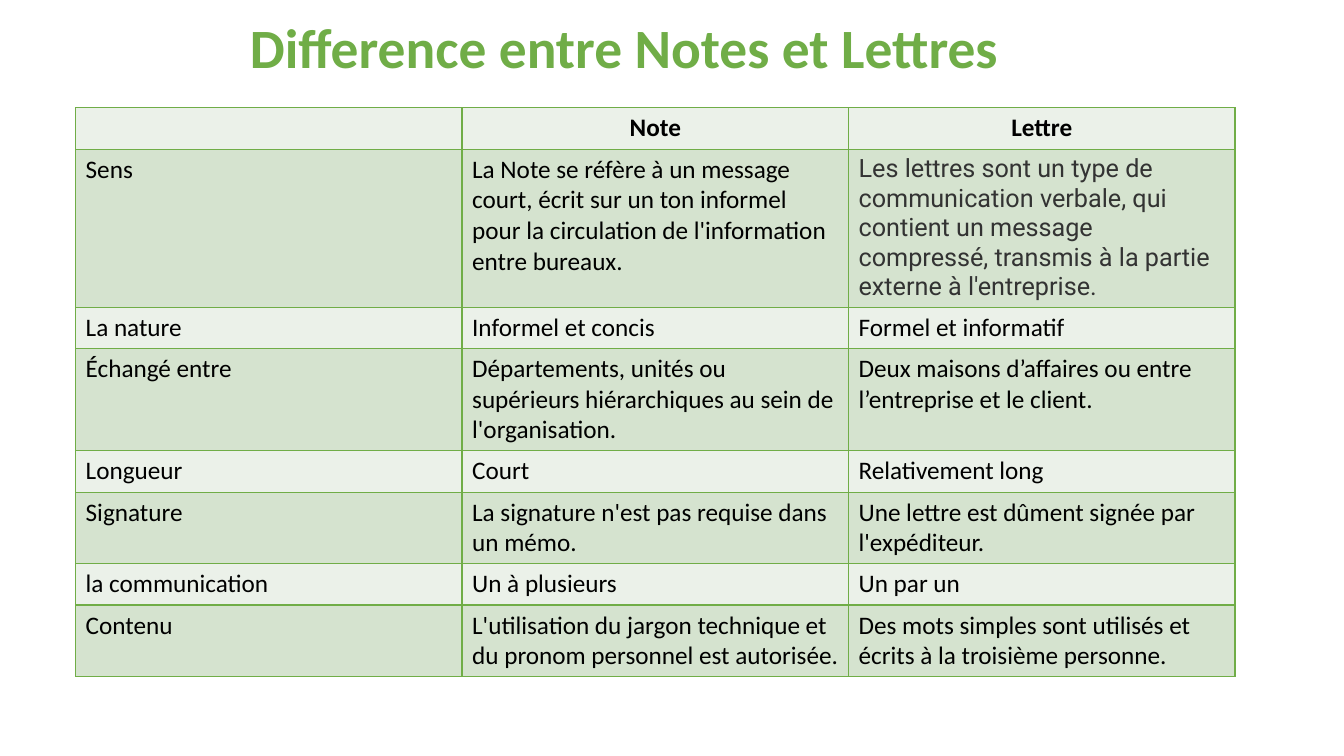
"""Build a slide comparing notes and letters in a table."""
from dataclasses import dataclass

from lxml import etree
from pptx import Presentation
from pptx.dml.color import RGBColor
from pptx.enum import text
from pptx.oxml import ns
from pptx.util import Inches, Pt

TITLE = "Difference entre Notes et Lettres"
ROWS = [
    ("", "Note", "Lettre"),
    ("Sens",
     "La Note se réfère à un message court, écrit sur un ton informel pour la circulation de l'information entre bureaux.",
     "Les lettres sont un type de communication verbale, qui contient un message compressé, transmis à la partie externe à l'entreprise."),
    ("La nature", "Informel et concis", "Formel et informatif"),
    ("Échangé entre",
     "Départements, unités ou supérieurs hiérarchiques au sein de l'organisation.",
     "Deux maisons d’affaires ou entre l’entreprise et le client."),
    ("Longueur", "Court", "Relativement long"),
    ("Signature",
     "La signature n'est pas requise dans un mémo.",
     "Une lettre est dûment signée par l'expéditeur."),
    ("la communication", "Un à plusieurs", "Un par un"),
    ("Contenu",
     "L'utilisation du jargon technique et du pronom personnel est autorisée.",
     "Des mots simples sont utilisés et écrits à la troisième personne."),
]
LETTER_MEANING = (1, 2)


@dataclass(frozen=True)
class Theme:
    green: str = "70AD47"
    bands: tuple = ("EBF1E9", "D5E3CF")
    black: str = "000000"
    grey: str = "333333"
    font: str = "Calibri"
    accent_font: str = "Roboto"
    title_size: float = 39.6
    body_size: float = 18
    border_width: float = 1


THEME = Theme()


def style_text(paragraph, font, size, color, bold=False, centered=False):
    if centered:
        paragraph.alignment = text.PP_ALIGN.CENTER
    for item in [paragraph, *paragraph.runs]:
        item.font.name = font
        item.font.size = Pt(size)
        item.font.bold = bold
        item.font.color.rgb = RGBColor.from_string(color)


def add_borders(cell):
    properties = cell._tc.get_or_add_tcPr()
    for side in ("lnL", "lnR", "lnT", "lnB"):
        line = etree.SubElement(properties, ns.qn(f"a:{side}"), w=str(Pt(THEME.border_width)))
        fill = etree.SubElement(line, ns.qn("a:solidFill"))
        etree.SubElement(fill, ns.qn("a:srgbClr"), val=THEME.green)


def add_title(page):
    title = page.shapes.title
    title.left, title.top = Inches(0.44), Inches(0.26)
    title.width, title.height = Inches(11.5), Inches(0.49)
    frame = title.text_frame
    frame.text = TITLE
    frame.word_wrap = True
    frame.auto_size = text.MSO_AUTO_SIZE.NONE
    frame.vertical_anchor = text.MSO_ANCHOR.MIDDLE
    frame.paragraphs[0].line_spacing = 0.9
    style_text(frame.paragraphs[0], THEME.font, THEME.title_size, THEME.green, True, True)


def add_comparison(page):
    table = page.shapes.add_table(
        len(ROWS), len(ROWS[0]), Inches(0.75), Inches(1.07),
        Inches(11.5), Inches(0.41) * len(ROWS)).table
    for row, values in enumerate(ROWS):
        for column, value in enumerate(values):
            cell = table.cell(row, column)
            cell.text_frame.text = value
            special = (row, column) == LETTER_MEANING
            style_text(cell.text_frame.paragraphs[0],
                       THEME.accent_font if special else THEME.font,
                       THEME.body_size,
                       THEME.grey if special else THEME.black,
                       bold=row == 0, centered=row == 0)
            add_borders(cell)
            cell.fill.solid()
            cell.fill.fore_color.rgb = RGBColor.from_string(THEME.bands[row % 2])


def main():
    deck = Presentation()
    deck.slide_width, deck.slide_height = Inches(13.33), Inches(7.5)
    page = deck.slides.add_slide(deck.slide_layouts[5])
    add_title(page)
    add_comparison(page)
    deck.save("out.pptx")


if __name__ == "__main__":
    main()
